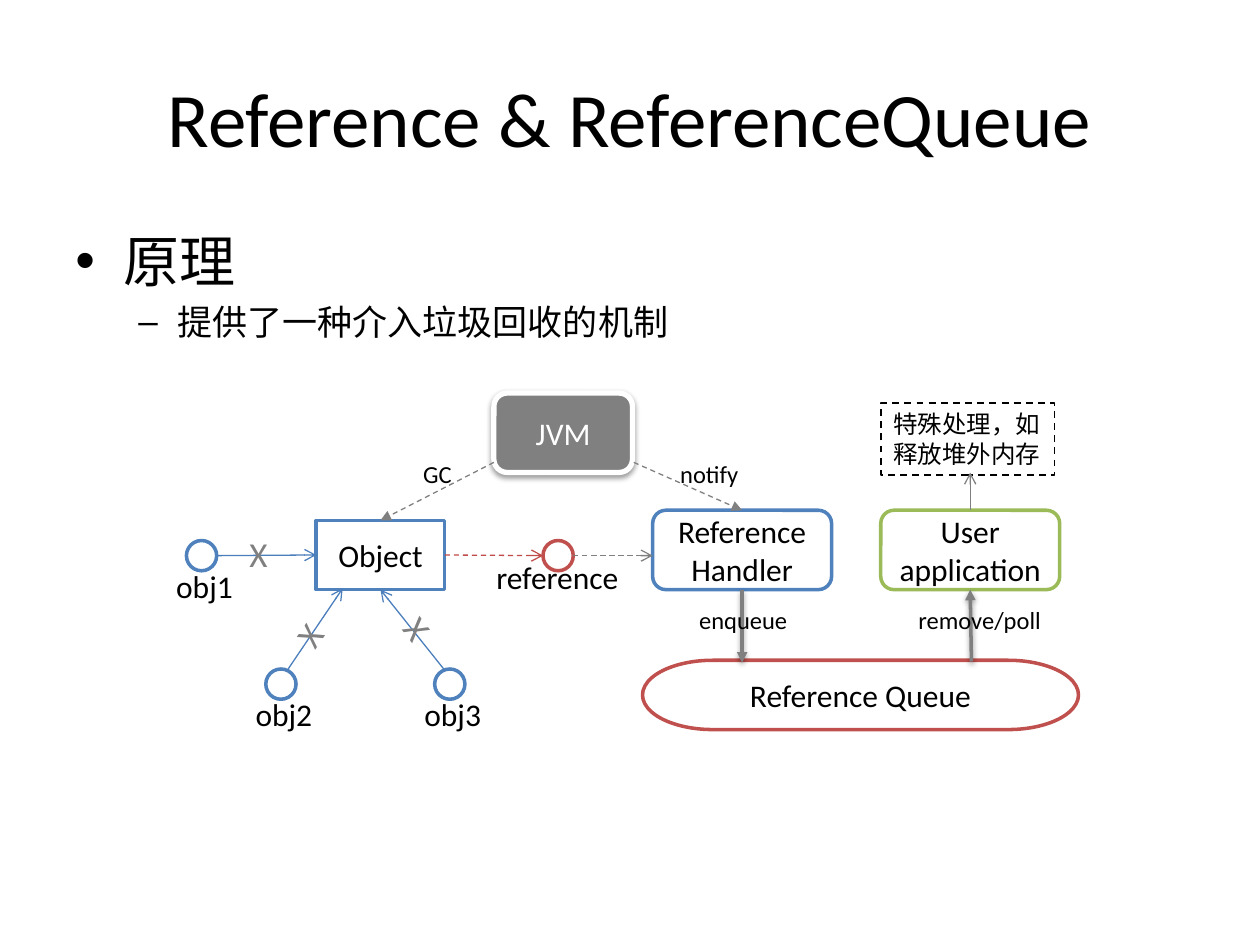
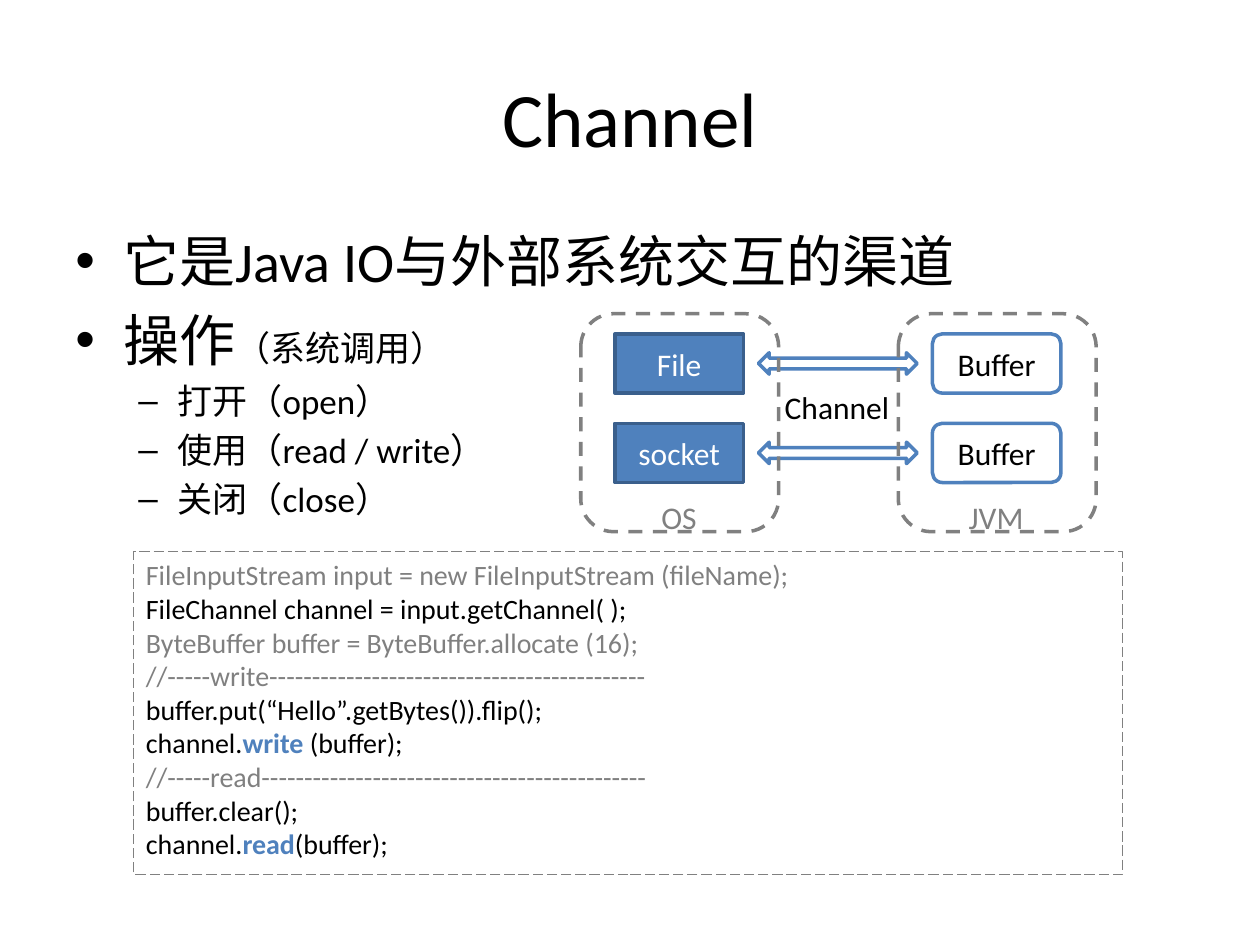
from lxml.etree import SubElement
from pptx import Presentation
from pptx.dml.color import RGBColor
from pptx.enum.dml import MSO_LINE
from pptx.enum.shapes import MSO_CONNECTOR, MSO_SHAPE as SHAPE
from pptx.enum.text import MSO_ANCHOR, MSO_AUTO_SIZE, PP_ALIGN
from pptx.oxml.ns import qn
from pptx.util import Pt

# Shared style: lengths are px, 100 to the inch
PX = 9144
FONT = "Calibri"
BLACK = RGBColor(0x00, 0x00, 0x00)
WHITE = RGBColor(0xFF, 0xFF, 0xFF)
GRAY = RGBColor(0x80, 0x80, 0x80)
BLUE = RGBColor(0x4F, 0x81, 0xBD)
DARK_BLUE = RGBColor(0x3A, 0x5F, 0x8C)
LINK_BLUE = RGBColor(0x4B, 0x7E, 0xBC)
RED = RGBColor(0xC0, 0x50, 0x4D)
LINK_RED = RGBColor(0xBF, 0x4C, 0x48)
GREEN = RGBColor(0x9B, 0xBB, 0x59)
TOP, LEFT, BOTTOM, RIGHT = range(4)
# Bullet, left margin and hanging indent for each level
BULLETS = [("•", 38, 38), ("–", 81, 31)]


def emu(*lengths):
    return [round(n * PX) for n in lengths]


def style_run(r, size, color=BLACK, bold=False):
    r.font.name = FONT
    r.font.size = Pt(size)
    r.font.color.rgb = color
    r.font.bold = bold


def style_text(tf, size, color, align):
    for p in tf.paragraphs:
        p.alignment = align
        for r in p.runs:
            style_run(r, size, color)


def set_line(line, color, width, dash=None):
    line.color.rgb = color
    line.width = Pt(width)
    if dash:
        line.dash_style = dash


def add_shadow(effects):
    shadow = SubElement(effects, qn("a:outerShdw"), blurRad=str(Pt(3.1)),
                        dist=str(Pt(1.6)), dir="5400000", rotWithShape="0")
    color = SubElement(shadow, qn("a:srgbClr"), val="000000")
    SubElement(color, qn("a:alpha"), val="38000")


def add_box(s, kind, box, text="", fill=WHITE, line=BLUE, width=2,
            color=BLACK, dash=None, shadow=False):
    sp = s.shapes.add_shape(kind, *emu(*box))
    sp.shadow.inherit = False
    if fill is None:
        sp.fill.background()
    else:
        sp.fill.solid()
        sp.fill.fore_color.rgb = fill
    set_line(sp.line, line, width, dash)
    if shadow:
        add_shadow(sp._element.spPr.find(qn("a:effectLst")))
    if text:
        tf = sp.text_frame
        tf.text = text
        tf.vertical_anchor = MSO_ANCHOR.MIDDLE
        style_text(tf, 18, color, PP_ALIGN.CENTER)
    return sp


def add_label(s, box, text, size=18, color=BLACK, rotation=0):
    sp = s.shapes.add_textbox(*emu(*box))
    sp.rotation = rotation
    tf = sp.text_frame
    tf.word_wrap = False
    tf.auto_size = MSO_AUTO_SIZE.SHAPE_TO_FIT_TEXT
    tf.text = text
    style_text(tf, size, color, PP_ALIGN.LEFT)
    return sp


def add_arrow(s, start, end, color=GRAY, width=0.75, head="arrow", dash=None,
              begin=None, finish=None, shadow=False):
    """Arrow pointing at end; begin and finish are (shape, side) joins."""
    c = s.shapes.add_connector(MSO_CONNECTOR.STRAIGHT, *emu(*start, *end))
    if begin:
        c.begin_connect(*begin)
    if finish:
        c.end_connect(*finish)
    set_line(c.line, color, width, dash)
    SubElement(c.line._get_or_add_ln(), qn("a:tailEnd"), type=head)
    effects = SubElement(c._element.spPr, qn("a:effectLst"))
    if shadow:
        add_shadow(effects)


def add_node(s, x, y, name, color=BLUE, label=(-18, 16, 66)):
    add_box(s, SHAPE.OVAL, (x, y, 24, 24), line=color)
    dx, dy, width = label
    add_label(s, (x + dx, y + dy, width, 40), name)


def add_title(s, text):
    tf = s.shapes.add_textbox(*emu(50, 30, 900, 125)).text_frame
    tf.word_wrap = True
    tf.vertical_anchor = MSO_ANCHOR.MIDDLE
    tf.text = text
    style_text(tf, 44, BLACK, PP_ALIGN.CENTER)


def add_bullets(s, items):
    """Each item is a level followed by (text, size) runs."""
    tf = s.shapes.add_textbox(*emu(50, 175, 900, 495)).text_frame
    tf.word_wrap = True
    for i, (level, *runs) in enumerate(items):
        p = tf.paragraphs[0] if i == 0 else tf.add_paragraph()
        p.level = level
        p.space_before = Pt(runs[0][1] * 0.2)
        for text, size in runs:
            r = p.add_run()
            r.text = text
            style_run(r, size)
        mark, margin, hanging = BULLETS[level]
        pPr = p._p.get_or_add_pPr()
        pPr.set("marL", str(margin * PX))
        pPr.set("indent", str(-hanging * PX))
        SubElement(pPr, qn("a:buFont"), typeface="Arial")
        SubElement(pPr, qn("a:buChar"), char=mark)


def add_code(s, box, lines):
    """Each line is a list of (text, colour) runs; blue runs are bold."""
    sp = s.shapes.add_textbox(*emu(*box))
    set_line(sp.line, GRAY, 0.75, MSO_LINE.LONG_DASH)
    tf = sp.text_frame
    tf.word_wrap = True
    tf.auto_size = MSO_AUTO_SIZE.SHAPE_TO_FIT_TEXT
    for i, runs in enumerate(lines):
        p = tf.paragraphs[0] if i == 0 else tf.add_paragraph()
        for text, color in runs:
            r = p.add_run()
            r.text = text
            style_run(r, 16, color, color == BLUE)


def new_slide(prs, title, bullets):
    s = prs.slides.add_slide(prs.slide_layouts[6])
    add_title(s, title)
    add_bullets(s, bullets)
    return s


def build_reference(prs):
    s = new_slide(prs, "Reference & ReferenceQueue", [
        (0, ("原理", 32)),
        (1, ("提供了一种介入垃圾回收的机制", 20)),
    ])

    # Boxes
    obj = add_box(s, SHAPE.RECTANGLE, (251, 413, 102, 55), "Object")
    handler = add_box(s, SHAPE.ROUNDED_RECTANGLE, (518, 405, 142, 63),
                      "Reference\vHandler")
    add_box(s, SHAPE.FLOWCHART_TERMINATOR, (510, 524, 346, 55),
            "Reference Queue", line=RED)
    add_box(s, SHAPE.ROUNDED_RECTANGLE, (392, 312, 110, 63), "JVM",
            fill=GRAY, line=WHITE, width=3, color=WHITE, shadow=True)
    user = add_box(s, SHAPE.ROUNDED_RECTANGLE, (699, 405, 142, 63),
                   "User\napplication", line=GREEN)
    cleanup = add_label(s, (699, 320, 138, 57), "特殊处理，如\n释放堆外内存", 14)
    set_line(cleanup.line, BLACK, 1, MSO_LINE.DASH)

    # Reference nodes
    add_node(s, 148, 429, "obj1")
    add_node(s, 211, 531, "obj2")
    add_node(s, 345, 531, "obj3")
    add_node(s, 431, 429, "reference", RED, (-47, 9, 118))

    # Reference chain
    dash = MSO_LINE.DASH
    add_arrow(s, (172, 441), (251, 441), LINK_BLUE, finish=(obj, LEFT))
    add_arrow(s, (228, 532), (272, 467), LINK_BLUE)
    add_arrow(s, (353, 532), (303, 466), LINK_BLUE, finish=(obj, BOTTOM))
    add_arrow(s, (353, 441), (431, 441), LINK_RED, dash=dash,
              begin=(obj, RIGHT))
    add_arrow(s, (455, 441), (518, 441), dash=dash)

    # JVM actions and queue traffic
    add_arrow(s, (392, 367), (302, 413), head="triangle", dash=dash,
              finish=(obj, TOP))
    add_arrow(s, (503, 367), (589, 405), head="triangle", dash=dash,
              finish=(handler, TOP))
    add_arrow(s, (589, 469), (589, 526), width=2, head="triangle",
              begin=(handler, BOTTOM), shadow=True)
    add_arrow(s, (771, 525), (771, 468), width=2, head="triangle",
              finish=(user, BOTTOM), shadow=True)
    add_arrow(s, (770, 406), (770, 375), begin=(user, TOP))

    # Arrow labels
    for x, y, width, text in [(545, 475, 91, "enqueue"),
                              (719, 475, 122, "remove/poll"),
                              (326, 359, 43, "GC"),
                              (530, 359, 67, "notify")]:
        add_label(s, (x, y, width, 34), text, 14)

    # Crosses on the broken links
    for x, y, rotation in [(188, 418, 0), (228, 482, 304.3),
                           (311, 479, 232.6)]:
        add_label(s, (x, y, 35, 44), "X", 20, GRAY, rotation)


def build_channel(prs):
    s = new_slide(prs, "Channel", [
        (0, ("它是Java IO与外部系统交互的渠道", 32)),
        (0, ("操作", 32), ("（系统调用）", 20)),
        (1, ("打开（open）", 20)),
        (1, ("使用（read / write）", 20)),
        (1, ("关闭（close）", 20)),
    ])

    # One row per channel: source, arrow, buffer
    for i, source in enumerate(["File", "socket"]):
        y = 265 + 71 * i
        add_box(s, SHAPE.RECTANGLE, (488, y, 102, 47), source,
                fill=BLUE, line=DARK_BLUE, color=WHITE)
        add_box(s, SHAPE.LEFT_RIGHT_ARROW, (602, y + 15, 126, 17))
        add_box(s, SHAPE.ROUNDED_RECTANGLE, (740, y, 102, 47), "Buffer")

    # Frames around both sides
    for x, name, label_x, width in [(461, "OS", 515, 48),
                                    (713, "JVM", 759, 64)]:
        add_box(s, SHAPE.ROUNDED_RECTANGLE, (x, 249, 157, 173), fill=None,
                line=GRAY, dash=MSO_LINE.DASH)
        add_label(s, (label_x, 390, width, 40), name, color=GRAY)
    add_label(s, (613, 303, 104, 40), "Channel")

    # Code sample
    add_code(s, (106, 438, 785, 256), [
        [("FileInputStream input = new FileInputStream (fileName);", GRAY)],
        [("FileChannel channel = input.getChannel( );", BLACK)],
        [("ByteBuffer buffer = ByteBuffer.allocate (16);", GRAY)],
        [("//-----write" + "-" * 44, GRAY)],
        [("buffer.put(“Hello”.getBytes()).flip();", BLACK)],
        [("channel.", BLACK), ("write ", BLUE), ("(buffer);", BLACK)],
        [("//-----read" + "-" * 45, GRAY)],
        [("buffer.clear();", BLACK)],
        [("channel.", BLACK), ("read", BLUE), ("(buffer);", BLACK)],
    ])


def main():
    prs = Presentation()
    prs.slide_width, prs.slide_height = emu(1000, 750)
    build_reference(prs)
    build_channel(prs)
    prs.save("out.pptx")


if __name__ == "__main__":
    main()
